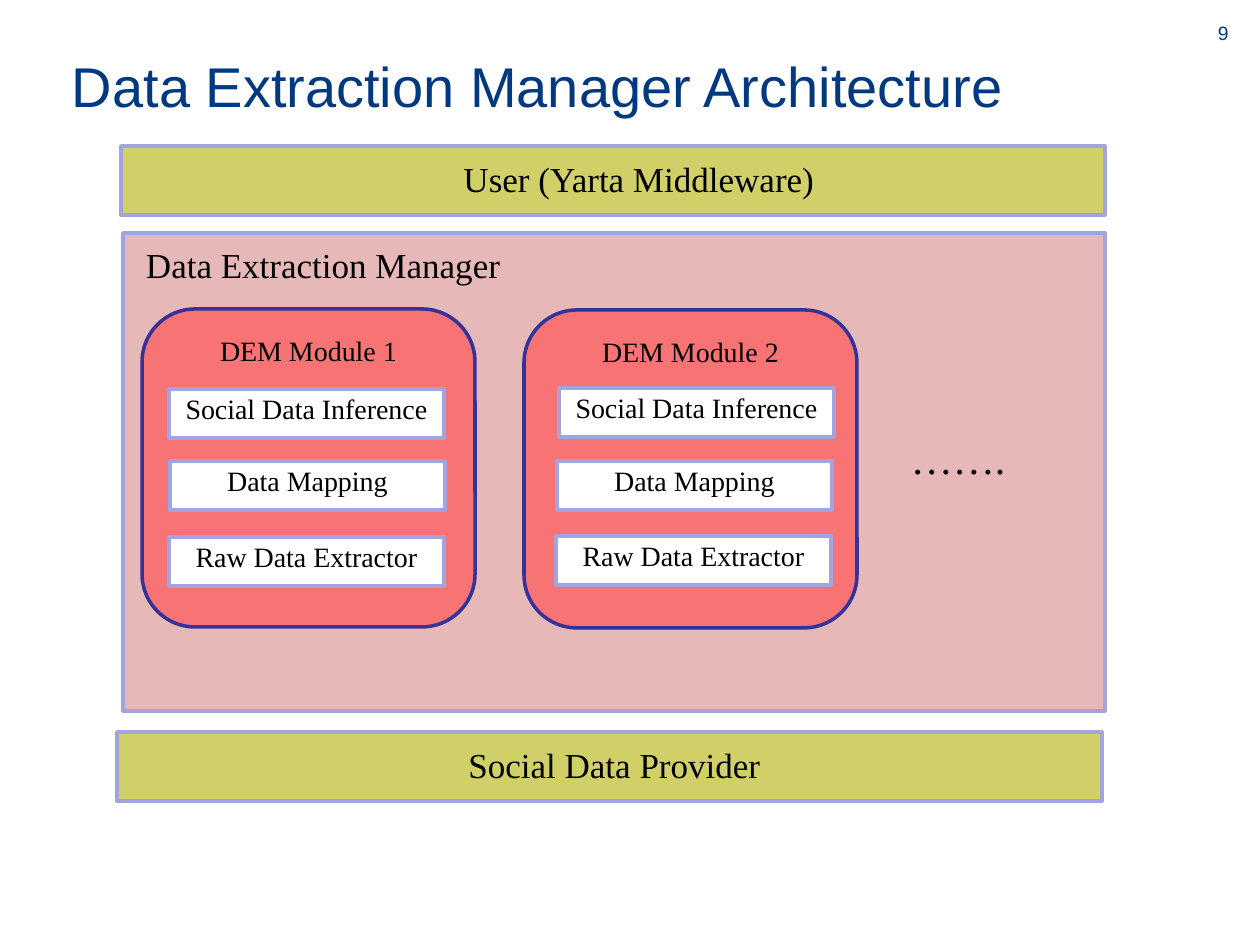
from dataclasses import dataclass

from pptx import Presentation
from pptx.dml.color import RGBColor
from pptx.enum.shapes import MSO_SHAPE
from pptx.enum.text import MSO_ANCHOR, PP_ALIGN
from pptx.util import Emu, Pt

PX_PER_INCH = 126
EMU_PER_INCH = 914400

RECTANGLE = MSO_SHAPE.RECTANGLE
ROUNDED = MSO_SHAPE.ROUNDED_RECTANGLE
TOP, BOTTOM = MSO_ANCHOR.TOP, MSO_ANCHOR.BOTTOM
LEFT, CENTER = PP_ALIGN.LEFT, PP_ALIGN.CENTER

NAVY = RGBColor(0x00, 0x39, 0x80)
BLACK = RGBColor(0x00, 0x00, 0x00)
WHITE = RGBColor(0xFF, 0xFF, 0xFF)
OLIVE = RGBColor(0xD1, 0xCF, 0x67)
PINK = RGBColor(0xE6, 0xB8, 0xB8)
CORAL = RGBColor(0xF8, 0x74, 0x74)
LAVENDER = RGBColor(0xA3, 0xA3, 0xE0)
INDIGO = RGBColor(0x33, 0x33, 0x99)

SANS = "Arial"
SERIF = "Times New Roman"

LAYER_NAMES = ("Social Data Inference", "Data Mapping", "Raw Data Extractor")
LAYER_SIZE = (275, 49)
MODULE_SIZE = (333, 318)


@dataclass(frozen=True)
class Area:
    left: int
    top: int
    width: int
    height: int


@dataclass(frozen=True)
class Label:
    text: str
    size: int
    font: str = SERIF
    color: RGBColor = BLACK
    align: PP_ALIGN = CENTER
    anchor: MSO_ANCHOR = TOP
    insets: tuple[int, int, int, int] = (13, 3, 13, 0)  # left, top, right, bottom


@dataclass(frozen=True)
class Block:
    area: Area
    label: Label
    fill: RGBColor
    outline: RGBColor = LAVENDER
    preset: MSO_SHAPE = RECTANGLE


@dataclass(frozen=True)
class Module:
    name: str
    corner: tuple[int, int]
    layer_corners: tuple[tuple[int, int], ...]


TEXTS = (
    (Area(1218, 21, 25, 32), Label("9", 11, SANS, NAVY, LEFT, insets=(0, 0, 0, 0))),
    (Area(59, 43, 1144, 82),
     Label("Data Extraction Manager Architecture", 32, SANS, NAVY, LEFT, BOTTOM,
           (13, 6, 13, 6))),
    (Area(898, 422, 129, 63), Label("…….", 24, align=LEFT, insets=(13, 11, 13, 6))),
)

BLOCKS = (
    Block(Area(123, 233, 982, 478),
          Label("Data Extraction Manager", 20, align=LEFT, insets=(23, 11, 13, 0)), PINK),
    Block(Area(121, 146, 984, 69),
          Label("User (Yarta Middleware)", 20, insets=(65, 11, 13, 0)), OLIVE),
    Block(Area(117, 732, 985, 69),
          Label("Social Data Provider", 20, insets=(23, 11, 13, 0)), OLIVE),
)

MODULES = (
    Module("DEM Module 1", (142, 309), ((169, 389), (170, 461), (169, 537))),
    Module("DEM Module 2", (524, 310), ((559, 388), (557, 461), (556, 536))),
)


def px(length: int) -> Emu:
    return Emu(round(length * EMU_PER_INCH / PX_PER_INCH))


def bounds(area: Area) -> tuple[Emu, ...]:
    return px(area.left), px(area.top), px(area.width), px(area.height)


def write_label(shape, label: Label) -> None:
    frame = shape.text_frame
    frame.word_wrap = True
    frame.vertical_anchor = label.anchor
    (frame.margin_left, frame.margin_top,
     frame.margin_right, frame.margin_bottom) = map(px, label.insets)
    para = frame.paragraphs[0]
    para.alignment = label.align
    span = para.add_run()
    span.text = label.text
    span.font.name = label.font
    span.font.size = Pt(label.size)
    span.font.color.rgb = label.color


def add_block(slide, block: Block) -> None:
    box = slide.shapes.add_shape(block.preset, *bounds(block.area))
    box.shadow.inherit = False
    box.fill.solid()
    box.fill.fore_color.rgb = block.fill
    box.line.color.rgb = block.outline
    box.line.width = Pt(2)
    write_label(box, block.label)


def add_module(slide, module: Module) -> None:
    """Draw a rounded module with its stack of layers."""
    heading = Label(module.name, 16, insets=(13, 9, 13, 6))
    add_block(slide, Block(Area(*module.corner, *MODULE_SIZE), heading,
                           CORAL, INDIGO, ROUNDED))
    for name, corner in zip(LAYER_NAMES, module.layer_corners):
        add_block(slide, Block(Area(*corner, *LAYER_SIZE), Label(name, 16), WHITE))


def main() -> None:
    deck = Presentation()
    deck.slide_width, deck.slide_height = px(1260), px(945)
    slide = deck.slides.add_slide(deck.slide_layouts[6])
    for block in BLOCKS:
        add_block(slide, block)
    for module in MODULES:
        add_module(slide, module)
    for area, label in TEXTS:
        write_label(slide.shapes.add_textbox(*bounds(area)), label)
    deck.save("out.pptx")


if __name__ == "__main__":
    main()
